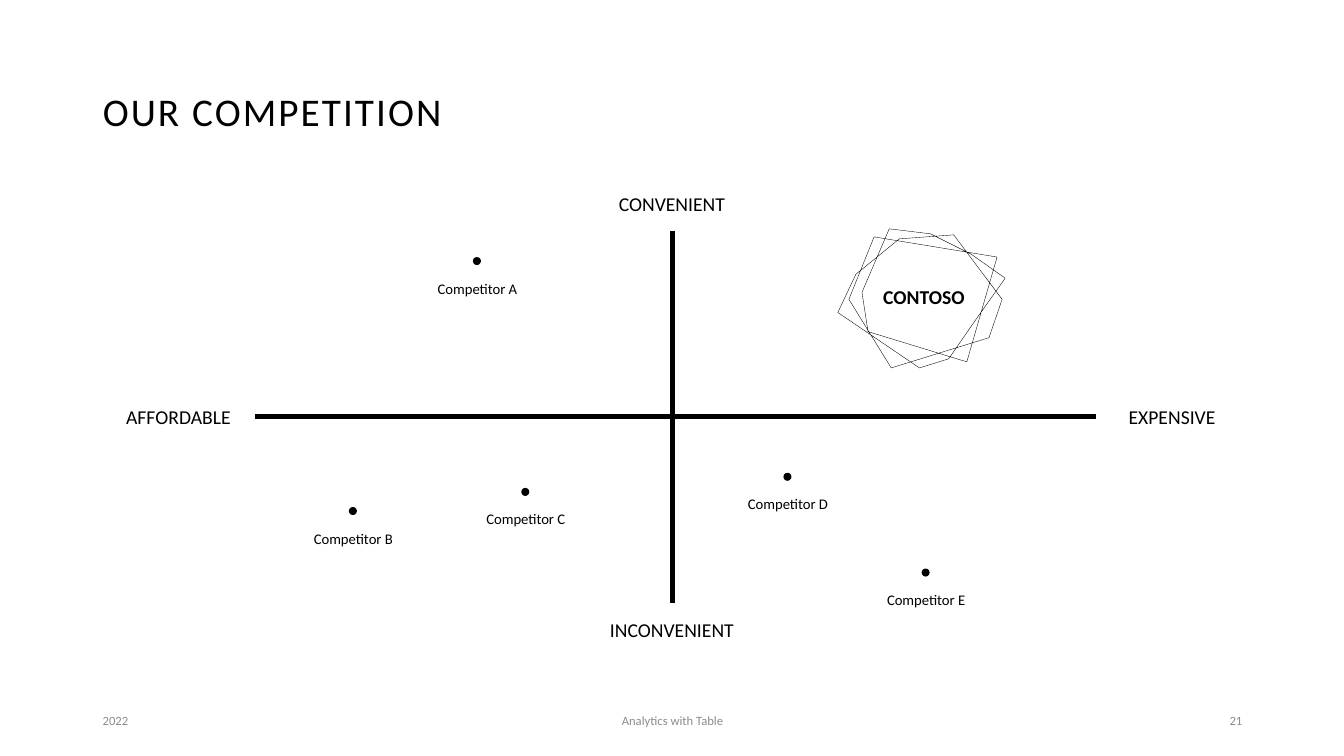
from lxml.etree import SubElement
from pptx import Presentation
from pptx.dml.color import RGBColor
from pptx.enum.shapes import MSO_CONNECTOR, MSO_SHAPE
from pptx.enum.text import MSO_ANCHOR, PP_ALIGN
from pptx.oxml.ns import qn
from pptx.util import Inches, Pt

COLORS = {"ink": "000000", "footer": "8C8C8C"}
FONT = "Calibri"
DOT = 0.08

deck = Presentation()
deck.slide_width = Inches(13.33)
deck.slide_height = Inches(7.5)
slide = deck.slides.add_slide(deck.slide_layouts[5])


def write(frame, text, size, color="ink", align=PP_ALIGN.CENTER, bold=False):
    frame.word_wrap = True
    frame.vertical_anchor = MSO_ANCHOR.MIDDLE
    paragraph = frame.paragraphs[0]
    paragraph.alignment = align
    run = paragraph.add_run()
    run.text = text
    run.font.name = FONT
    run.font.size = Pt(size)
    run.font.bold = bold
    run.font.color.rgb = RGBColor.from_string(COLORS[color])
    return paragraph


def add_label(box, text, size, **style):
    label = slide.shapes.add_textbox(*map(Inches, box))
    return write(label.text_frame, text, size, **style)


for ends in [(2.53, 4.13, 10.87, 4.13), (6.67, 5.98, 6.67, 2.29)]:
    axis = slide.shapes.add_connector(MSO_CONNECTOR.STRAIGHT, *map(Inches, ends))
    axis.line.color.rgb = RGBColor.from_string(COLORS["ink"])
    axis.line.width = Pt(3.5)
    SubElement(axis.element.spPr, qn("a:effectLst"))

title = slide.shapes.title
title.left, title.top, title.width, title.height = map(Inches, (0.92, 0.4, 11.5, 1.45))
heading = write(title.text_frame, "OUR COMPETITION", 28, align=PP_ALIGN.LEFT)
heading.line_spacing = 0.9
heading.runs[0].font.element.set("spc", "150") if hasattr(heading.runs[0].font, "element") else \
    heading.runs[0]._r.get_or_add_rPr().set("spc", "150")

axis_ends = [
    ("CONVENIENT", (5.73, 1.75, 1.87, 0.54)),
    ("AFFORDABLE", (1.01, 3.86, 1.52, 0.54)),
    ("EXPENSIVE", (10.87, 3.86, 1.51, 0.54)),
    ("INCONVENIENT", (5.73, 5.98, 1.87, 0.54)),
]
for text, box in axis_ends:
    add_label(box, text, 14).space_before = Pt(10)

competitors = {
    "A": (4.69, 2.55),
    "B": (3.46, 5.03),
    "C": (5.17, 4.84),
    "D": (7.77, 4.69),
    "E": (9.14, 5.64),
}
for letter, (left, top) in competitors.items():
    dot = slide.shapes.add_shape(MSO_SHAPE.OVAL, *map(Inches, (left, top, DOT, DOT)))
    dot.shadow.inherit = False
    dot.fill.solid()
    dot.fill.fore_color.rgb = RGBColor.from_string(COLORS["ink"])
    dot.line.fill.background()
    name = add_label((left - 0.6, top + 0.04, 1.29, 0.54), f"Competitor {letter}", 10.5)
    name.space_before = Pt(10)

add_label((8.23, 2.37, 1.87, 1.15), "CONTOSO", 14, bold=True).space_before = Pt(10)

burst_points = [
    (8.92, 2.37), (8.54, 2.68), (8.49, 2.72), (8.31, 3.1), (9.12, 3.65), (9.41, 3.56),
    (9.68, 3.17), (9.97, 2.76), (9.63, 2.52), (9.23, 2.32), (8.82, 2.27), (8.55, 2.9),
    (8.61, 3.29), (9.59, 3.59), (9.89, 2.55), (8.67, 2.35), (8.42, 2.97), (8.84, 3.65),
    (9.81, 3.35), (9.94, 2.97), (9.46, 2.33),
]
corners = [(Inches(x), Inches(y)) for x, y in burst_points]
outline = slide.shapes.build_freeform(*corners[0])
outline.add_line_segments(corners[1:], close=True)
burst = outline.convert_to_shape()
burst.shadow.inherit = False
burst.fill.background()
burst.line.color.rgb = RGBColor.from_string(COLORS["ink"])
burst.line.width = Pt(0.25)

footers = [
    ("2022", 0.92, 3, PP_ALIGN.LEFT),
    ("Analytics with Table", 4.42, 4.5, PP_ALIGN.CENTER),
    ("21", 9.42, 3, PP_ALIGN.RIGHT),
]
for text, left, width, align in footers:
    add_label((left, 6.95, width, 0.4), text, 9, color="footer", align=align)

deck.save("out.pptx")
